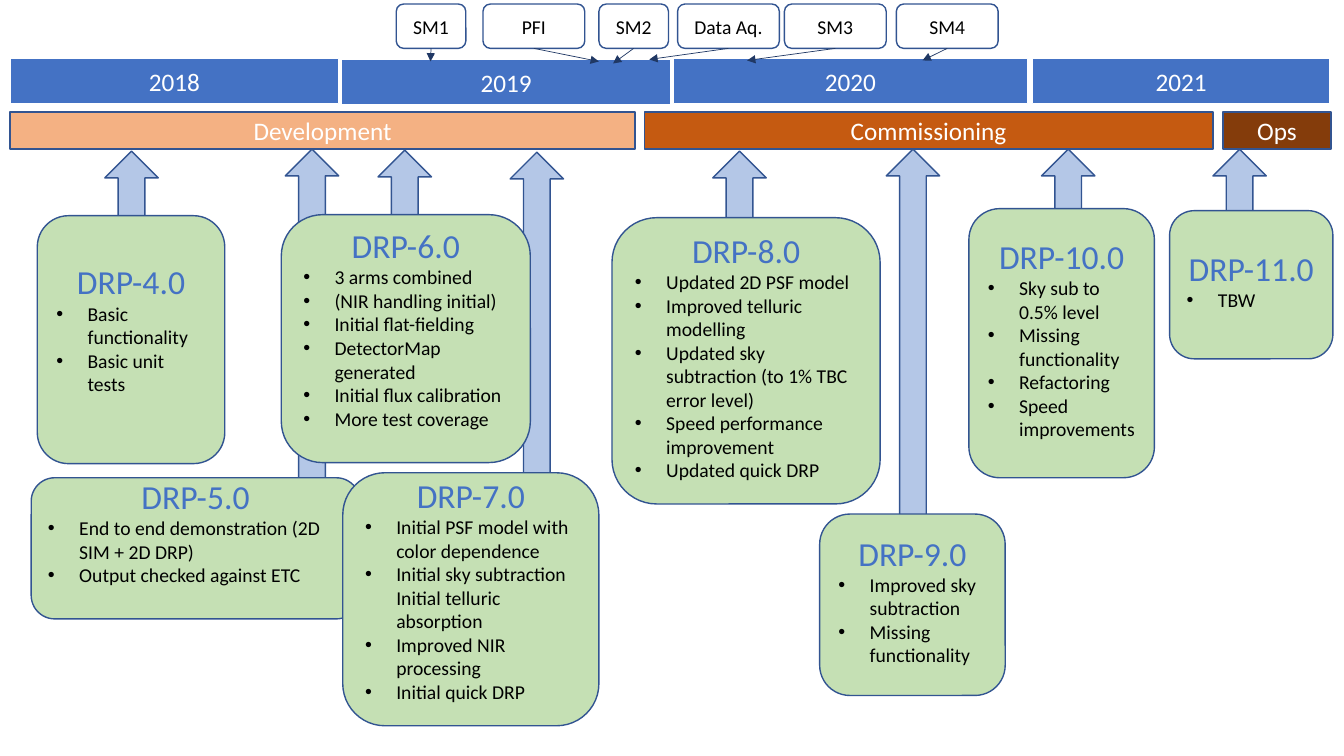
from lxml import etree
from pptx import Presentation
from pptx.dml.color import RGBColor
from pptx.enum import shapes, text
from pptx.oxml import ns
from pptx.util import Pt

PX = 9144  # EMU per px, at 100 px to the inch
THEME = {
    "font": "Calibri", "white": "FFFFFF", "ink": "000000",
    "year": "4472C4", "heading": "4472C4", "card": "C5E0B4", "arrow": "B4C7E7",
    "outline": "325491", "pointer": "203864",
    "development": "F4B183", "commissioning": "C55A11", "ops": "843C0B",
    "heading_size": 24, "bar_size": 18, "body_size": 14,
}
KIND = shapes.MSO_SHAPE

prs = Presentation()
prs.slide_width, prs.slide_height = 1333 * PX, 750 * PX
slide = prs.slides.add_slide(prs.slide_layouts[6])


def add_block(kind, box, fill=None, line="outline"):
    """Add a preset shape at box (left, top, width, height in px); no fill means hollow."""
    block = slide.shapes.add_shape(kind, *(side * PX for side in box))
    block.shadow.inherit = False
    if fill:
        block.fill.solid()
        block.fill.fore_color.rgb = RGBColor.from_string(THEME[fill])
    else:
        block.fill.background()
    block.line.color.rgb = RGBColor.from_string(THEME[line])
    block.line.width = Pt(1)
    return block


def write(block, words, size="body_size", color="ink", bullet=False):
    """Put words in the block's first paragraph, or in a new one if that is taken."""
    frame = block.text_frame
    frame.word_wrap = True
    frame.vertical_anchor = text.MSO_ANCHOR.MIDDLE
    paragraph = frame.add_paragraph() if frame.text else frame.paragraphs[0]
    paragraph.alignment = text.PP_ALIGN.LEFT if bullet else text.PP_ALIGN.CENTER
    run = paragraph.add_run()
    run.text = words
    run.font.name = THEME["font"]
    run.font.size = Pt(THEME[size])
    run.font.color.rgb = RGBColor.from_string(THEME[color])
    if bullet:
        props = paragraph._p.get_or_add_pPr()
        props.set("marL", str(31 * PX))
        props.set("indent", str(-31 * PX))
        etree.SubElement(props, ns.qn("a:buFont"), typeface="Arial")
        etree.SubElement(props, ns.qn("a:buChar"), char="•")


# Years
for year, left, top, width in [("2018", 10, 58, 326), ("2019", 339, 59, 326),
                               ("2020", 668, 58, 351), ("2021", 1024, 58, 295)]:
    bar = add_block(KIND.RECTANGLE, (left, top, width, 45), "year", "white")
    write(bar, year, size="bar_size", color="white")

# Releases, back to front: name, card, lift of the text above centre,
# arrow (left, top, height), features
releases = [
    ("DRP-5.0", (31, 474, 326, 140), 17, (283, 148, 336),
     ["End to end demonstration (2D SIM + 2D DRP)", "Output checked against ETC"]),
    ("DRP-4.0", (37, 214, 186, 246), 11, (104, 150, 107),
     ["Basic functionality", "Basic unit tests"]),
    ("DRP-8.0", (607, 216, 266, 284), 5, (707, 150, 107),
     ["Updated 2D PSF model", "Improved telluric modelling",
      "Updated sky subtraction (to 1% TBC error level)",
      "Speed performance improvement", "Updated quick DRP"]),
    ("DRP-9.0", (813, 510, 184, 180), 5, (879, 148, 390),
     ["Improved sky subtraction", "Missing functionality"]),
    ("DRP-10.0", (961, 207, 184, 267), 5, (1033, 148, 107),
     ["Sky sub to 0.5% level", "Missing functionality", "Refactoring",
      "Speed improvements"]),
    ("DRP-11.0", (1160, 209, 162, 147), 5, (1203, 148, 112), ["TBW"]),
    ("DRP-7.0", (340, 469, 254, 251), 10, (506, 151, 323),
     ["Initial PSF model with color dependence",
      "Initial sky subtraction Initial telluric absorption",
      "Improved NIR processing", "Initial quick DRP"]),
    ("DRP-6.0", (279, 213, 247, 246), 11, (375, 149, 107),
     ["3 arms combined", "(NIR handling initial)", "Initial flat-fielding",
      "DetectorMap generated", "Initial flux calibration", "More test coverage"]),
]
for release, box, lift, (left, top, height), features in releases:
    add_block(KIND.UP_ARROW, (left, top, 53, height), "arrow")
    card = add_block(KIND.ROUNDED_RECTANGLE, box, "card")
    card.text_frame.margin_bottom = (5 + 2 * lift) * PX
    write(card, release, size="heading_size", color="heading")
    for feature in features:
        write(card, feature, bullet=True)

# Phases
for phase, left, width in [("Development", 10, 620), ("Commissioning", 639, 564),
                           ("Ops", 1213, 107)]:
    bar = add_block(KIND.RECTANGLE, (left, 111, width, 37), phase.lower())
    write(bar, phase, size="bar_size", color="white")

# Hardware milestones, each pointing at its date: name, left, width, tip
milestones = [
    ("SM1", 393, 69, (427, 61)), ("PFI", 479, 101, (594, 61)),
    ("SM2", 594, 69, (608, 63)), ("Data Aq.", 672, 101, (644, 59)),
    ("SM3", 778, 101, (741, 60)), ("SM4", 889, 101, (915, 60)),
]
for milestone, left, width, (tip_x, tip_y) in milestones:
    label = add_block(KIND.ROUNDED_RECTANGLE, (left, 4, width, 44))
    write(label, milestone)
    pointer = slide.shapes.add_connector(
        shapes.MSO_CONNECTOR.STRAIGHT, left * PX, 48 * PX, tip_x * PX, tip_y * PX)
    pointer.begin_connect(label, 2)
    pointer.line.color.rgb = RGBColor.from_string(THEME["pointer"])
    pointer.line.width = Pt(0.5)
    etree.SubElement(pointer.line._get_or_add_ln(), ns.qn("a:tailEnd"), type="triangle")
    etree.SubElement(pointer._element.spPr, ns.qn("a:effectLst"))

prs.save("out.pptx")
